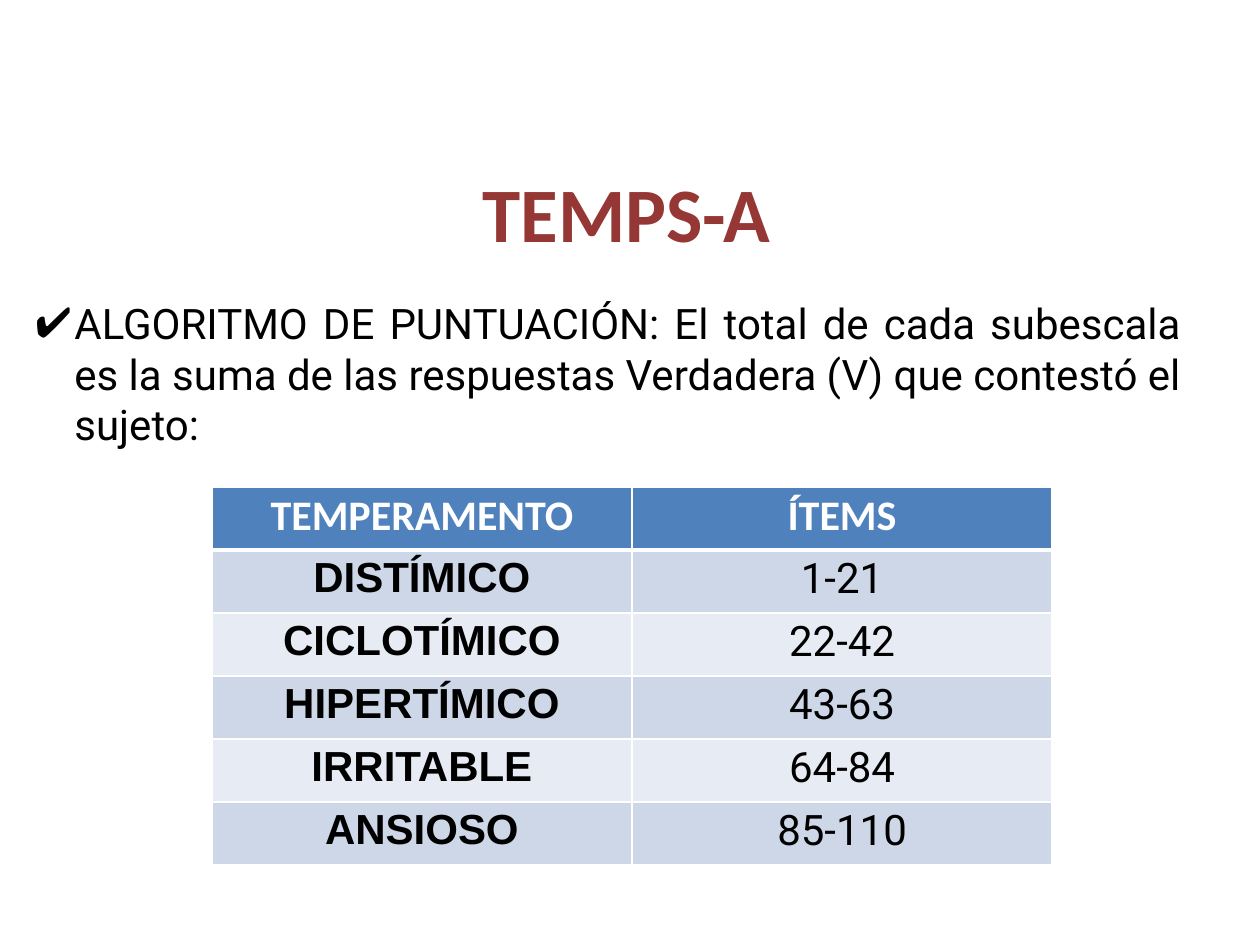
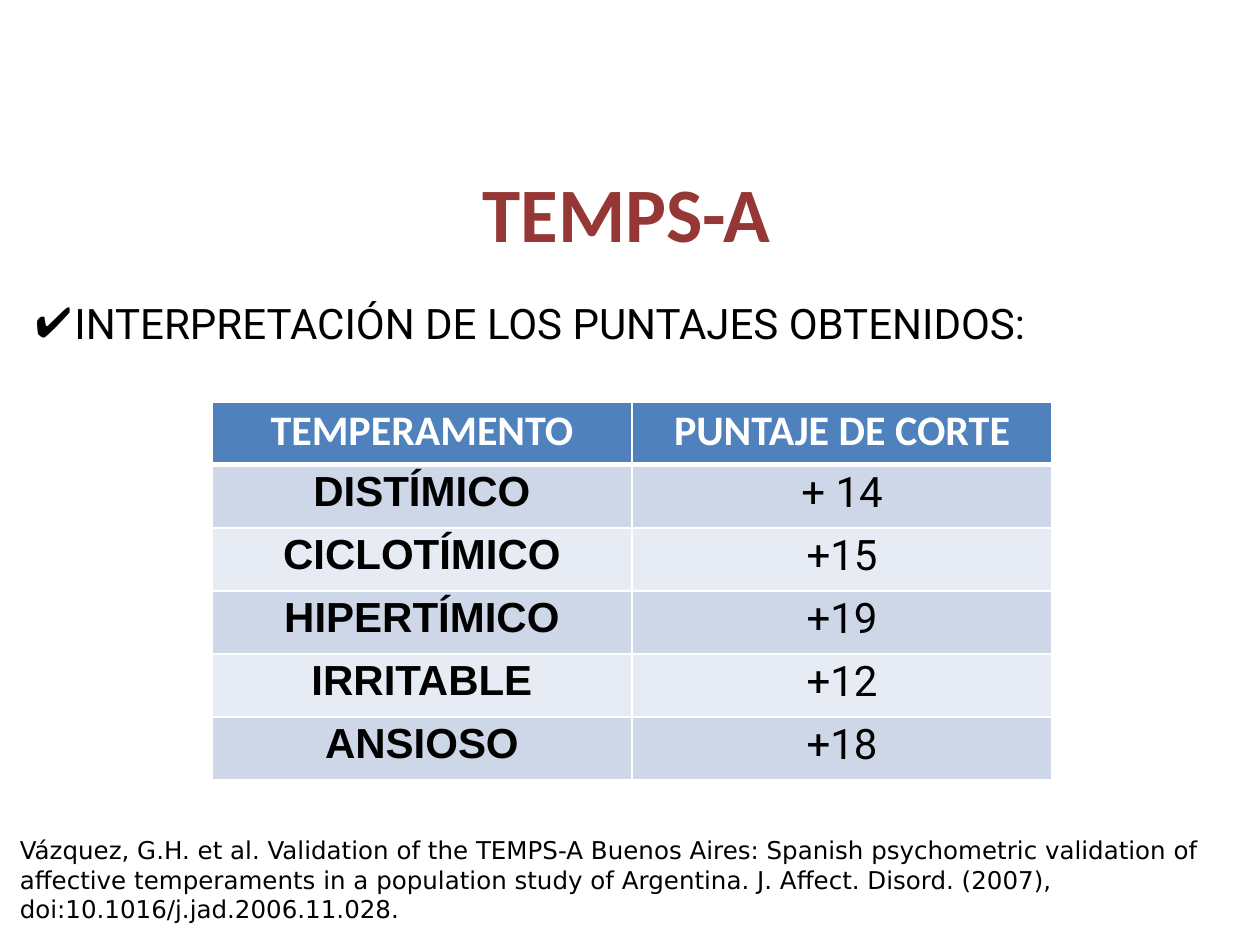
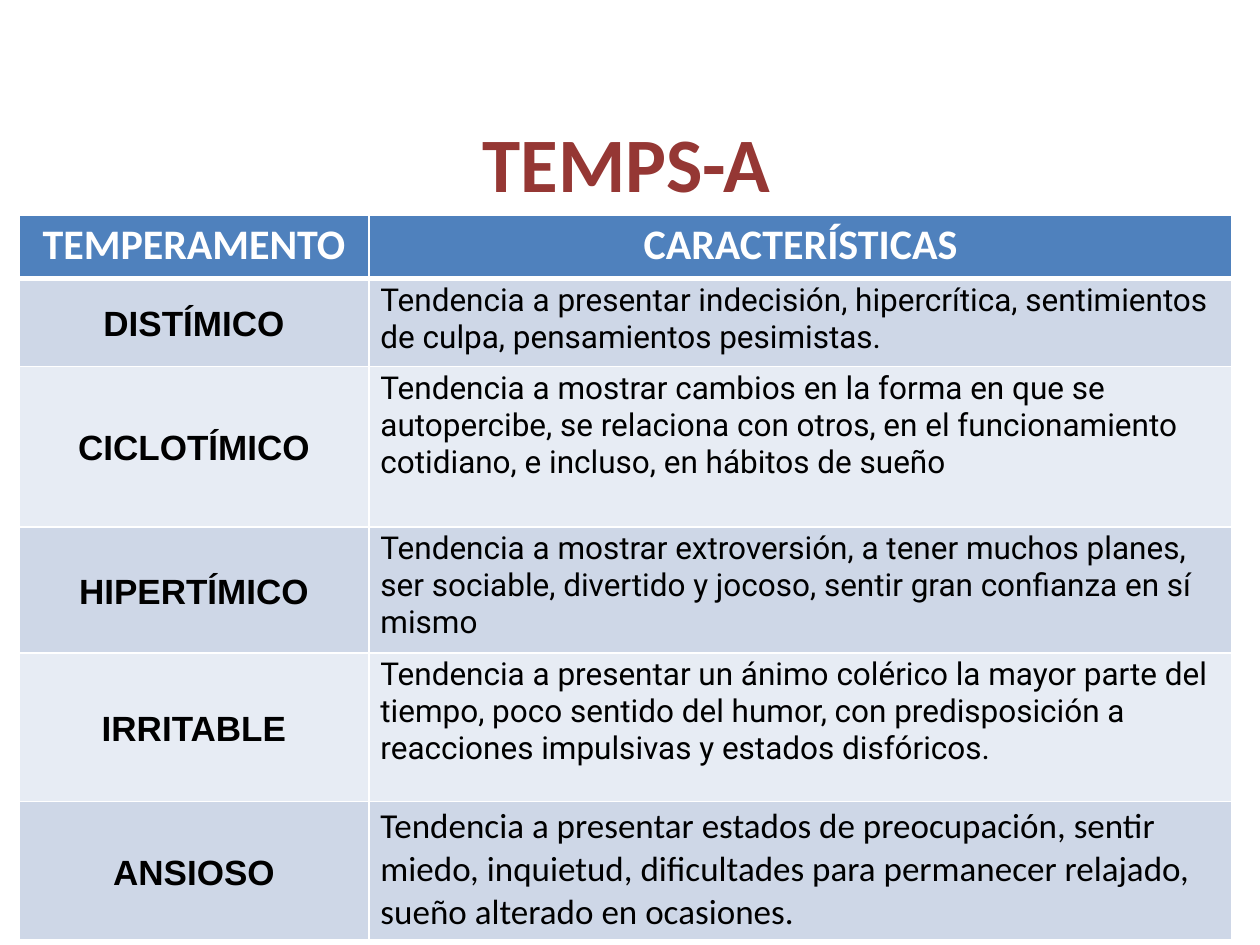
from lxml import etree
from pptx import Presentation
from pptx import util as u
from pptx.dml.color import RGBColor
from pptx.enum import text
from pptx.oxml import ns

# Content
TITLE = "TEMPS-A"
TEMPERAMENTS = ["DISTÍMICO", "CICLOTÍMICO", "HIPERTÍMICO", "IRRITABLE", "ANSIOSO"]
SCORING = ("ALGORITMO DE PUNTUACIÓN: El total de cada subescala es la suma de las "
           "respuestas Verdadera (V) que contestó el sujeto:")
ITEMS = ["1-21", "22-42", "43-63", "64-84", "85-110"]
INTERPRETATION = "INTERPRETACIÓN DE LOS PUNTAJES OBTENIDOS:"
CUTOFFS = ["+ 14", "+15", "+19", "+12", "+18"]
CITATION = ("Vázquez, G.H. et al. Validation of the TEMPS-A Buenos Aires: Spanish "
            "psychometric validation of affective temperaments in a population study of "
            "Argentina. J. Affect. Disord. (2007), doi:10.1016/j.jad.2006.11.028.")
TRAITS = [
    "Tendencia a presentar indecisión, hipercrítica, sentimientos de culpa, "
    "pensamientos pesimistas.",
    "Tendencia a mostrar cambios en la forma en que se autopercibe, se relaciona con "
    "otros, en el funcionamiento cotidiano, e incluso, en hábitos de sueño",
    "Tendencia a mostrar extroversión, a tener muchos planes, ser sociable, divertido y "
    "jocoso, sentir gran confianza en sí mismo",
    "Tendencia a presentar un ánimo colérico la mayor parte del tiempo, poco sentido del "
    "humor, con predisposición a reacciones impulsivas y estados disfóricos.",
    "Tendencia a presentar estados de preocupación, sentir miedo, inquietud, dificultades "
    "para permanecer relajado, sueño alterado en ocasiones.",
]

# Shared style
COLORS = {"title": "953734", "text": "000000", "header": "4F81BD", "white": "FFFFFF",
          "odd": "CED7E7", "even": "E7ECF4"}
ROW_HEIGHT = 1.27
SCORE_COLUMNS = [8.47, 8.47]
SCORE_LEFT = 4.27
LEFT, CENTER, JUSTIFY = (text.PP_ALIGN.LEFT, text.PP_ALIGN.CENTER, text.PP_ALIGN.JUSTIFY)


def write(frame, words, font, size, color="text", bold=False, align=LEFT, before=1):
    frame.text = words
    paragraph = frame.paragraphs[0]
    paragraph.alignment = align
    paragraph.space_before = u.Pt(before)
    for run in paragraph.runs:
        run.font.name, run.font.size, run.font.bold = font, u.Pt(size), bold
        run.font.color.rgb = RGBColor.from_string(COLORS[color])
    return paragraph


def place(shape, left, top, width, height):
    shape.left, shape.top, shape.width, shape.height = map(u.Cm, (left, top, width, height))
    frame = shape.text_frame
    frame.margin_left = frame.margin_right = frame.margin_bottom = 0
    frame.margin_top = u.Cm(0.03)
    frame.vertical_anchor = text.MSO_ANCHOR.TOP
    frame.auto_size = text.MSO_AUTO_SIZE.NONE
    frame.word_wrap = True
    return frame


def add_slide(deck, layout, title_top):
    slide = deck.slides.add_slide(deck.slide_layouts[layout])
    frame = place(slide.shapes.title, 9.73, title_top, 5.92, 1.93)
    frame.word_wrap = False
    write(frame, TITLE, "Calibri", 44, "title", True)
    return slide


def add_check_item(slide, words, width, height, align=LEFT):
    frame = place(slide.placeholders[1], 0.69, 5.97, width, height)
    properties = write(frame, words, "Roboto", 24, align=align)._p.get_or_add_pPr()
    properties.set("marL", str(u.Cm(0.81)))
    properties.set("indent", str(-u.Cm(0.79)))
    etree.SubElement(properties, ns.qn("a:buFont"), typeface="Cabin")
    etree.SubElement(properties, ns.qn("a:buChar"), char="✔")


def add_borders(cell, widths):
    """Draw white borders; widths are points by side."""
    properties = cell._tc.get_or_add_tcPr()
    for index, (side, points) in enumerate(widths.items()):
        line = etree.Element(ns.qn(f"a:ln{side}"), w=str(u.Pt(points)))
        fill = etree.SubElement(line, ns.qn("a:solidFill"))
        etree.SubElement(fill, ns.qn("a:srgbClr"), val=COLORS["white"])
        properties.insert(index, line)


def add_table(slide, left, top, columns, heights, header, values, name_size=24,
              value_styles=None, value_align=CENTER, value_inset=0,
              name_anchor=text.MSO_ANCHOR.TOP):
    rows = [("TEMPERAMENTO", header), *zip(TEMPERAMENTS, values)]
    value_styles = value_styles or [("Roboto", 24)] * len(values)
    table = slide.shapes.add_table(len(rows), 2, u.Cm(left), u.Cm(top),
                                   u.Cm(sum(columns)), u.Cm(sum(heights))).table
    for column, width in zip(table.columns, columns):
        column.width = u.Cm(width)
    for r, (row, height) in enumerate(zip(rows, heights)):
        table.rows[r].height = u.Cm(height)
        fill = "header" if r == 0 else "odd" if r % 2 else "even"
        for c, words in enumerate(row):
            cell = table.cell(r, c)
            cell.margin_left = cell.margin_right = cell.margin_bottom = 0
            cell.margin_top = u.Cm(0.08)
            cell.fill.solid()
            cell.fill.fore_color.rgb = RGBColor.from_string(COLORS[fill])
            add_borders(cell, {"L": 1, "R": 1, "T": 3 if r == 1 else 1,
                               "B": 3 if r == 0 else 1})
            if r == 0:
                write(cell.text_frame, words, "Calibri", 24, "white", True, CENTER, 2)
            elif c == 0:
                cell.vertical_anchor = name_anchor
                write(cell.text_frame, words, "Arial", name_size, bold=True,
                      align=CENTER, before=2)
            else:
                cell.margin_left = cell.margin_right = u.Cm(value_inset)
                write(cell.text_frame, words, *value_styles[r - 1],
                      align=value_align, before=2)


def main():
    deck = Presentation()
    deck.slide_width, deck.slide_height = u.Cm(25.4), u.Cm(19.05)
    score_heights = [ROW_HEIGHT] * (len(TEMPERAMENTS) + 1)

    # Scoring: items of each subscale
    scoring = add_slide(deck, 1, 3.3)
    add_check_item(scoring, SCORING, 23.12, 3.12, JUSTIFY)
    add_table(scoring, SCORE_LEFT, 9.82, SCORE_COLUMNS, score_heights, "ÍTEMS", ITEMS)

    # Interpretation: cut-off scores and their reference
    interpretation = add_slide(deck, 1, 3.3)
    add_check_item(interpretation, INTERPRETATION, 21.64, 1.09)
    add_table(interpretation, SCORE_LEFT, 8.1, SCORE_COLUMNS, score_heights,
              "PUNTAJE DE CORTE", CUTOFFS)
    citation = interpretation.shapes.add_textbox(0, 0, 0, 0)
    write(place(citation, 0.4, 16.81, 24.13, 1.85), CITATION, "DejaVu Sans", 14)

    # Traits of each temperament
    traits = add_slide(deck, 5, 2.29)
    add_table(traits, 0.38, 4.34, [7.06, 17.4], [ROW_HEIGHT, 1.78, 3.23, 2.54, 3, 2.79],
              "CARACTERÍSTICAS", TRAITS, name_size=20,
              value_styles=[("Roboto", 18)] * 4 + [("Calibri", 20)],
              value_align=LEFT, value_inset=0.23, name_anchor=text.MSO_ANCHOR.MIDDLE)

    deck.save("out.pptx")


if __name__ == "__main__":
    main()
